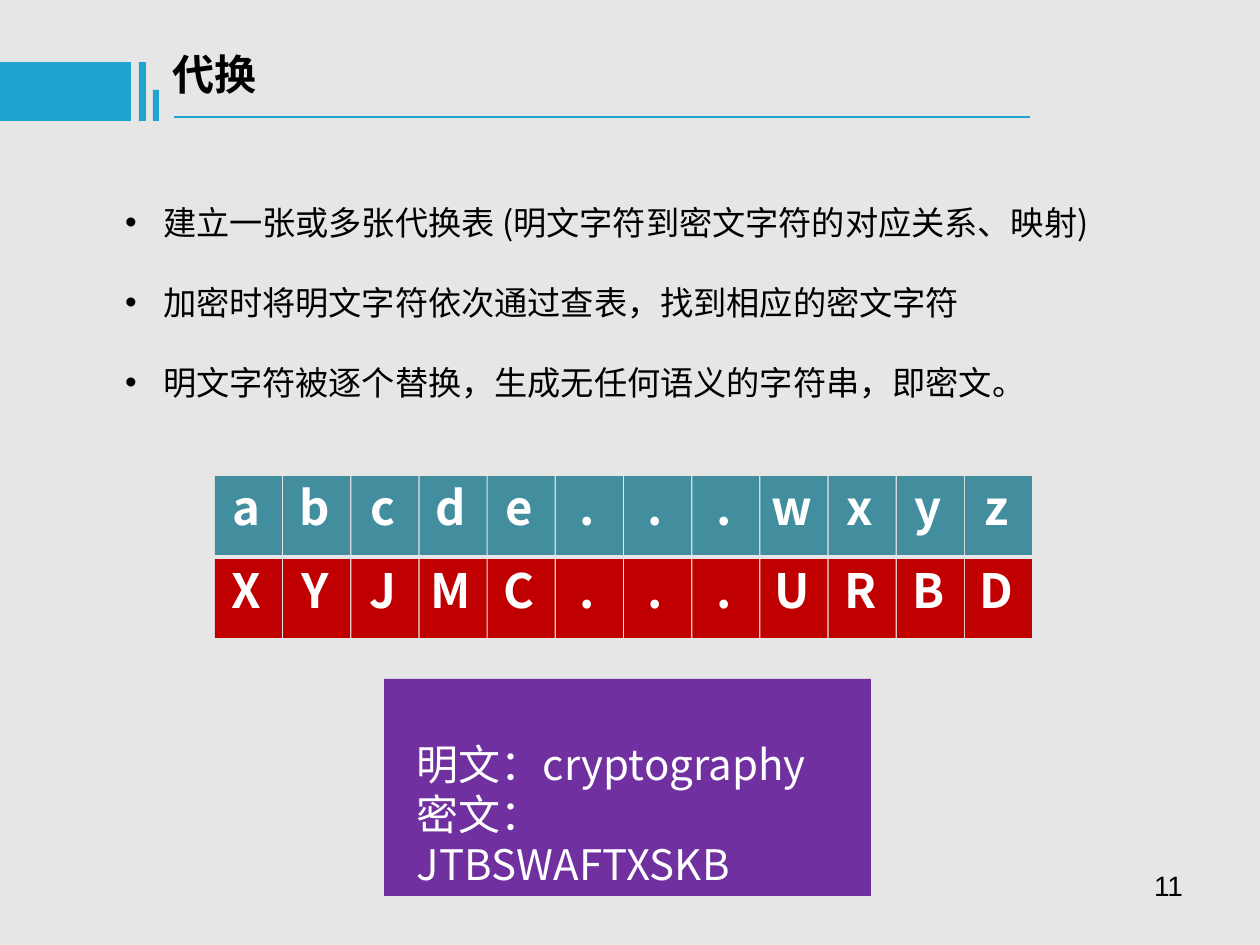
import pptx
import pptx.dml.color
import pptx.enum.shapes
import pptx.enum.text
import pptx.oxml
import pptx.oxml.ns
import pptx.util
from dataclasses import dataclass

TITLE = "代换"
POINTS = [
    "建立一张或多张代换表 (明文字符到密文字符的对应关系、映射)",
    "加密时将明文字符依次通过查表，找到相应的密文字符",
    "明文字符被逐个替换，生成无任何语义的字符串，即密文。",
]
PLAIN = "abcde...wxyz"
CODED = "XYJMC...URBD"
SAMPLE = "明文：cryptography\v密文：JTBSWAFTXSKB"
NUMBER = "11"


@dataclass(frozen=True)
class Theme:
    back: str = "E7E6E6"
    ink: str = "000000"
    light: str = "FFFFFF"
    blue: str = "21A3D0"
    teal: str = "428E9E"
    red: str = "C00000"
    purple: str = "7030A0"
    sans: str = "Noto Sans CJK SC"
    plain: str = "Arial"
    title: int = 24
    body: int = 19
    letter: int = 27
    sample: int = 24
    number: int = 16


LOOK = Theme()
SHAPE = pptx.enum.shapes.MSO_SHAPE
ALIGN = pptx.enum.text.PP_ALIGN
ANCHOR = pptx.enum.text.MSO_ANCHOR

# Lengths in px: left, top, width, height
BARS = [(0, 62, 131, 59), (139, 62, 7, 59), (153, 90, 6, 31)]
ROWS = [(PLAIN, 476, LOOK.teal), (CODED, 559, LOOK.red)]
LEFT, RIGHT, CELL, HIGH = 215, 1032, 67, 79


def px(size):
    return pptx.util.Emu(round(size * 914400 / 126))


def rgb(code):
    return pptx.dml.color.RGBColor.from_string(code)


def add_xml(node, text):
    space = pptx.oxml.ns.nsdecls("a")
    node.append(pptx.oxml.parse_xml(text.replace("/>", f" {space}/>")))


def place(shape, box):
    shape.left, shape.top, shape.width, shape.height = map(px, box)


def frame_up(shape, anchor, pads):
    """Fix wrapping, anchor and insets (left, top, right, bottom)."""
    frame = shape.text_frame
    frame.auto_size = pptx.enum.text.MSO_AUTO_SIZE.NONE
    frame.word_wrap = True
    frame.vertical_anchor = anchor
    (frame.margin_left, frame.margin_top,
     frame.margin_right, frame.margin_bottom) = map(px, pads)
    return frame


def style(frame, size, color, bold=False, align=ALIGN.LEFT, face=LOOK.sans):
    for para in frame.paragraphs:
        para.alignment = align
        for run in para.runs:
            font = run.font
            font.size = pptx.util.Pt(size)
            font.bold = bold
            font.name = face
            font.color.rgb = rgb(color)
            add_xml(run._r.get_or_add_rPr(), f'<a:ea typeface="{face}"/>')


def block(slide, box, fill):
    shape = slide.shapes.add_shape(SHAPE.RECTANGLE, *map(px, box))
    shape.shadow.inherit = False
    shape.fill.solid()
    shape.fill.fore_color.rgb = rgb(fill)
    shape.line.fill.background()
    return shape


def header(slide):
    title = slide.shapes.title
    place(title, (160, 42, 862, 63))
    frame = frame_up(title, ANCHOR.MIDDLE, (13, 0, 13, 0))
    frame.text = TITLE
    style(frame, LOOK.title, LOOK.ink, bold=True)
    for box in BARS:
        block(slide, box, LOOK.blue)
    rule = slide.shapes.add_connector(
        pptx.enum.shapes.MSO_CONNECTOR.STRAIGHT,
        px(174), px(117), px(1030), px(117))
    rule.line.color.rgb = rgb(LOOK.blue)
    rule.line.width = pptx.util.Pt(1.5)
    add_xml(rule._element.spPr, "<a:effectLst/>")


def points(slide):
    body = slide.placeholders[1]
    place(body, (88, 158, 1063, 247))
    frame = frame_up(body, ANCHOR.TOP, (8, 4, 8, 4))
    frame.text = "\n".join(POINTS)
    for para in frame.paragraphs:
        para.line_spacing = px(80)
        para.space_before = px(0)
        props = para._p.get_or_add_pPr()
        props.set("marL", str(px(67)))
        props.set("indent", str(px(-38)))
        add_xml(props, '<a:buFont typeface="Arial"/>')
        add_xml(props, '<a:buChar char="•"/>')
    style(frame, LOOK.body, LOOK.ink)


def cipher(slide):
    step = (RIGHT - LEFT - CELL) / (len(PLAIN) - 1)
    for letters, top, fill in ROWS:
        for col, letter in enumerate(letters):
            cell = block(slide, (LEFT + col * step, top, CELL, HIGH), fill)
            frame = frame_up(cell, ANCHOR.MIDDLE, (0, 0, 4, 18))
            frame.text = letter
            style(frame, LOOK.letter, LOOK.light, True, ALIGN.CENTER)


def sample(slide):
    card = block(slide, (384, 679, 487, 217), LOOK.purple)
    frame = frame_up(card, ANCHOR.BOTTOM, (33, 0, 24, 7))
    frame.text = SAMPLE
    frame.paragraphs[0].line_spacing = px(50)
    style(frame, LOOK.sample, LOOK.light)


def number(slide):
    box = slide.shapes.add_textbox(*map(px, (903, 861, 294, 66)))
    frame = frame_up(box, ANCHOR.TOP, (14, 8, 14, 8))
    frame.text = NUMBER
    style(frame, LOOK.number, LOOK.ink, align=ALIGN.RIGHT, face=LOOK.plain)


def main():
    deck = pptx.Presentation()
    deck.slide_width, deck.slide_height = px(1260), px(945)
    slide = deck.slides.add_slide(deck.slide_layouts[1])
    slide.background.fill.solid()
    slide.background.fill.fore_color.rgb = rgb(LOOK.back)
    for draw in (header, points, cipher, sample, number):
        draw(slide)
    deck.save("out.pptx")


if __name__ == "__main__":
    main()
